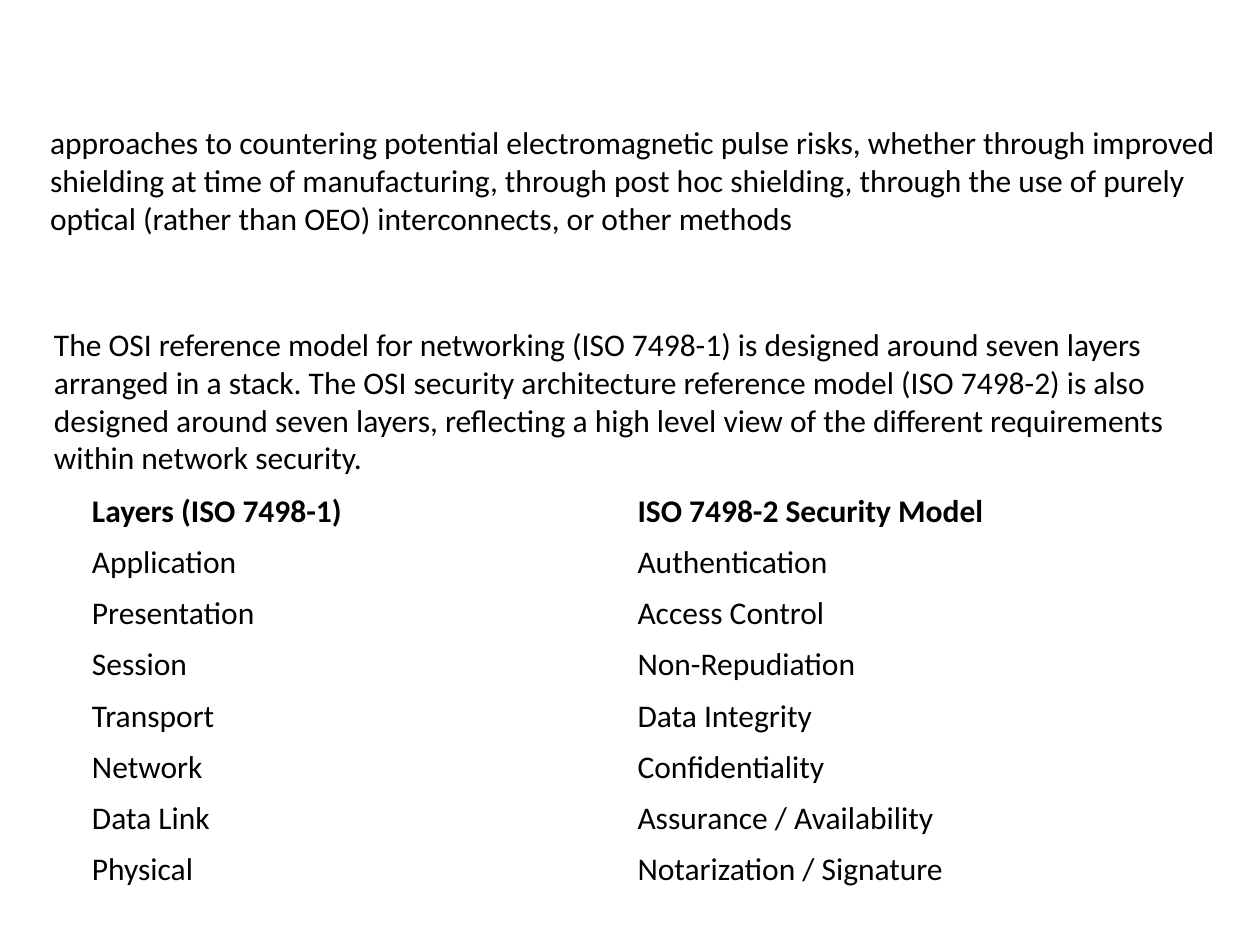
from pptx import Presentation
from pptx.dml.color import RGBColor
from pptx.enum.text import MSO_ANCHOR, MSO_AUTO_SIZE
from pptx.util import Inches, Pt

THEME = {"font": "Calibri", "size": Pt(18), "text": RGBColor(0, 0, 0)}

PARAGRAPHS = [
    ("approaches to countering potential electromagnetic pulse risks, whether through "
     "improved shielding at time of manufacturing, through post hoc shielding, through "
     "the use of purely optical (rather than OEO) interconnects, or other methods",
     (0.3, 0.93, 9.5, 1.01)),
    ("The OSI reference model for networking (ISO 7498-1) is designed around seven layers "
     "arranged in a stack. The OSI security architecture reference model (ISO 7498-2) is "
     "also designed around seven layers, reflecting a high level view of the different "
     "requirements within network security.",
     (0.33, 2.53, 9.33, 1.31)),
]

LAYERS = [
    ("Layers (ISO 7498-1)", "ISO 7498-2 Security Model"),
    ("Application", "Authentication"),
    ("Presentation", "Access Control"),
    ("Session", "Non-Repudiation"),
    ("Transport", "Data Integrity"),
    ("Network", "Confidentiality"),
    ("Data Link", "Assurance / Availability"),
    ("Physical", "Notarization / Signature"),
]
TABLE_BOX = (0.63, 3.86, 8.66, 3.2)


def write(tf, text, bold=False):
    tf.text = text
    for r in tf.paragraphs[0].runs:
        r.font.name = THEME["font"]
        r.font.size = THEME["size"]
        r.font.color.rgb = THEME["text"]
        r.font.bold = bold


def add_paragraph_box(s, text, box):
    tf = s.shapes.add_textbox(*map(Inches, box)).text_frame
    tf.word_wrap = True
    tf.auto_size = MSO_AUTO_SIZE.SHAPE_TO_FIT_TEXT
    write(tf, text)


def add_layer_table(s, rows, box):
    table = s.shapes.add_table(len(rows), len(rows[0]), *map(Inches, box)).table
    table.first_row = False
    table.horz_banding = False
    for i, row in enumerate(rows):
        for j, text in enumerate(row):
            cell = table.cell(i, j)
            cell.fill.background()
            cell.vertical_anchor = MSO_ANCHOR.MIDDLE
            write(cell.text_frame, text, bold=i == 0)


def main():
    prs = Presentation()
    prs.slide_width, prs.slide_height = Inches(10), Inches(7.5)
    s = prs.slides.add_slide(prs.slide_layouts[6])
    add_layer_table(s, LAYERS, TABLE_BOX)
    for text, box in PARAGRAPHS:
        add_paragraph_box(s, text, box)
    prs.save("out.pptx")


if __name__ == "__main__":
    main()
